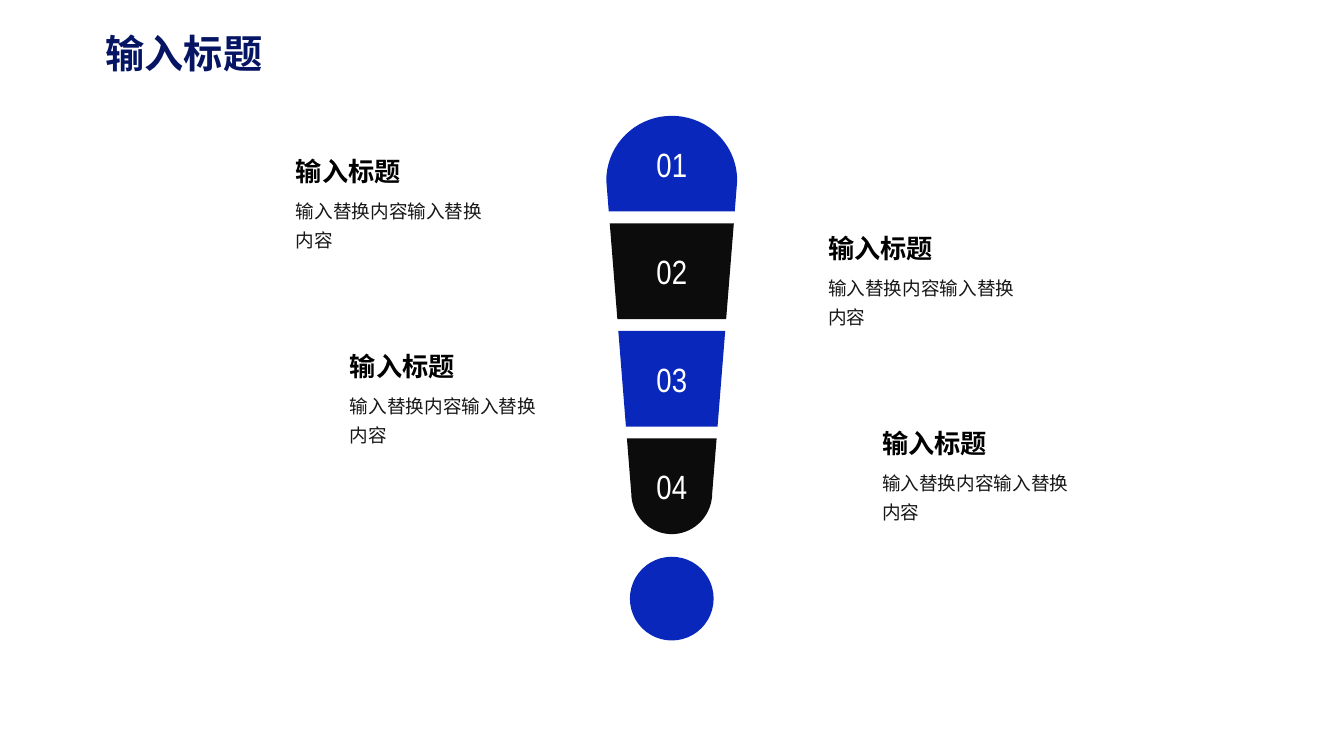
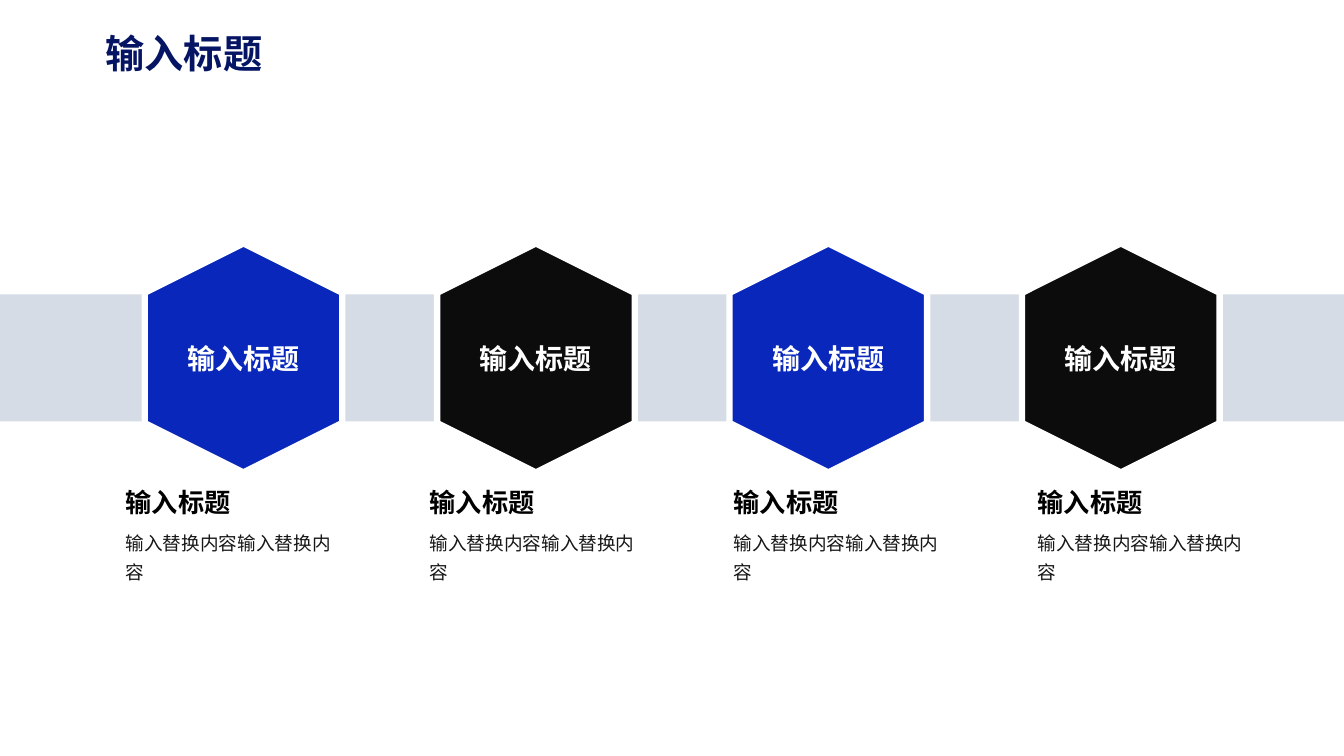
import math
from dataclasses import dataclass
from typing import NamedTuple

import lxml.etree
import pptx
import pptx.dml.color
import pptx.enum.shapes
import pptx.enum.text
import pptx.oxml.ns
import pptx.shapes.autoshape
import pptx.slide
import pptx.text.text
import pptx.util

Cm = pptx.util.Cm
RGB = pptx.dml.color.RGBColor
Align = pptx.enum.text.PP_ALIGN
Anchor = pptx.enum.text.MSO_ANCHOR
Kind = pptx.enum.shapes.MSO_SHAPE


class Style(NamedTuple):
    size: float
    color: RGB
    bold: bool = False
    font: str = "Noto Sans CJK SC"
    align: Align = Align.LEFT
    space: float = 1.0


@dataclass(frozen=True)
class Theme:
    blue: RGB = RGB.from_string("0928BB")
    black: RGB = RGB.from_string("0C0C0C")
    band: RGB = RGB.from_string("D6DCE5")
    white: RGB = RGB.from_string("FFFFFF")
    title: Style = Style(28, RGB.from_string("051564"), True)
    head: Style = Style(18.7, RGB.from_string("000000"), True)
    body: Style = Style(13.3, RGB.from_string("181717"), space=1.3)
    label: Style = Style(20, white, True, align=Align.CENTER)
    number: Style = Style(24, white, font="Arial Narrow", align=Align.CENTER)

    def fill(self, index: int) -> RGB:
        """Alternate the two accent colours."""
        return self.black if index % 2 else self.blue


class Card(NamedTuple):
    left: float
    top: float
    width: float


class Body(NamedTuple):
    """Tapering upper part of the exclamation mark, in centimetres."""
    axis: float = 16.93
    top: float = 2.92
    pitch: float = 2.71
    high: float = 2.41
    cap: float = 4.55
    foot: float = 12.42
    count: int = 4

    def half(self, y: float) -> float:
        return 1.65 - 0.08 * (y - self.cap)

    def arc(self, y: float, rise: float, start: int) -> list[tuple[float, float]]:
        """Half an ellipse, clockwise from the start angle in degrees."""
        turns = [math.radians(start + step) for step in range(0, 181, 5)]
        return [(self.axis + self.half(y) * math.cos(turn),
                 y + rise * math.sin(turn)) for turn in turns]

    def edge(self, index: int) -> list[tuple[float, float]]:
        """Outline of one segment; the first and last have round ends."""
        top = self.top + index * self.pitch
        base = top + self.high
        upper = (self.arc(self.cap, self.cap - top, 180) if index == 0
                 else self.arc(top, 0, 180)[::36])
        lower = (self.arc(self.foot, base - self.foot, 0)
                 if index == self.count - 1 else self.arc(base, 0, 0)[::36])
        return upper + lower


THEME = Theme()
WIDTH, HEIGHT = 33.87, 19.05
HEAD = "输入标题"
TEXT = "输入替换内容输入替换内容"


def write(frame: pptx.text.text.TextFrame, text: str, style: Style) -> None:
    frame.text = text
    para = frame.paragraphs[0]
    para.alignment = style.align
    para.line_spacing = style.space
    for run in para.runs:
        font = run.font
        font.name = style.font
        font.size = pptx.util.Pt(style.size)
        font.bold = style.bold
        font.color.rgb = style.color
        latin = font._element.find(pptx.oxml.ns.qn("a:latin"))
        east = lxml.etree.Element(pptx.oxml.ns.qn("a:ea"), typeface=style.font)
        latin.addnext(east)


def paint(shape: pptx.shapes.autoshape.Shape, color: RGB) -> None:
    shape.shadow.inherit = False
    shape.fill.solid()
    shape.fill.fore_color.rgb = color
    shape.line.fill.background()


def start(deck: pptx.presentation.Presentation) -> pptx.slide.Slide:
    """Add a slide with the shared title."""
    slide = deck.slides.add_slide(deck.slide_layouts[5])
    title = slide.shapes.title
    title.left, title.top = Cm(2.41), Cm(0.61)
    title.width, title.height = Cm(5.69), Cm(1.45)
    frame = title.text_frame
    frame.auto_size = pptx.enum.text.MSO_AUTO_SIZE.NONE
    frame.vertical_anchor = Anchor.TOP
    write(frame, HEAD, THEME.title)
    return slide


def add_card(slide: pptx.slide.Slide, card: Card) -> None:
    for text, style, drop, high in ((HEAD, THEME.head, 0, 1.07),
                                    (TEXT, THEME.body, 0.96, 1.68)):
        box = slide.shapes.add_textbox(Cm(card.left), Cm(card.top + drop),
                                       Cm(card.width), Cm(high))
        box.text_frame.word_wrap = True
        write(box.text_frame, text, style)


def add_part(slide: pptx.slide.Slide, body: Body, index: int) -> None:
    points = [(Cm(x), Cm(y)) for x, y in body.edge(index)]
    pen = slide.shapes.build_freeform(*points[0])
    pen.add_line_segments(points[1:], close=True)
    part = pen.convert_to_shape()
    paint(part, THEME.fill(index))
    part.text_frame.vertical_anchor = Anchor.MIDDLE
    write(part.text_frame, f"{index + 1:02}", THEME.number)


def add_hex(slide: pptx.slide.Slide, left: float, color: RGB) -> None:
    """Add an upright hexagon whose label stays level."""
    tile = slide.shapes.add_shape(Kind.HEXAGON, Cm(left), Cm(6.53),
                                  Cm(5.77), Cm(4.98))
    paint(tile, color)
    tile.rotation = 90
    tile.line.color.rgb = THEME.white
    tile.line.width = pptx.util.Pt(4.5)
    frame = tile.text_frame
    frame.word_wrap = False
    frame.vertical_anchor = Anchor.MIDDLE
    tile.element.txBody.bodyPr.set("vert", "vert270")
    write(frame, HEAD, THEME.label)


def mark_slide(deck: pptx.presentation.Presentation) -> None:
    slide = start(deck)
    body = Body()
    for index in range(body.count):
        add_part(slide, body, index)
    size = 2.11
    dot = slide.shapes.add_shape(Kind.OVAL, Cm(body.axis - size / 2),
                                 Cm(14.03), Cm(size), Cm(size))
    paint(dot, THEME.blue)
    for row in range(2):
        for side in range(2):
            add_card(slide, Card(7.21 + 13.41 * side + 1.36 * row,
                                 3.78 + 1.94 * side + 4.93 * row, 5.38))


def chain_slide(deck: pptx.presentation.Presentation) -> None:
    slide = start(deck)
    band = slide.shapes.add_shape(Kind.RECTANGLE, 0, Cm(7.42),
                                  Cm(WIDTH), Cm(3.2))
    paint(band, THEME.band)
    for index in range(4):
        add_hex(slide, 3.25 + 7.37 * index, THEME.fill(index))
        add_card(slide, Card(2.92 + 7.66 * index, 12.14, 5.69))


def main() -> None:
    deck = pptx.Presentation()
    deck.slide_width, deck.slide_height = Cm(WIDTH), Cm(HEIGHT)
    mark_slide(deck)
    chain_slide(deck)
    deck.save("out.pptx")


if __name__ == "__main__":
    main()
